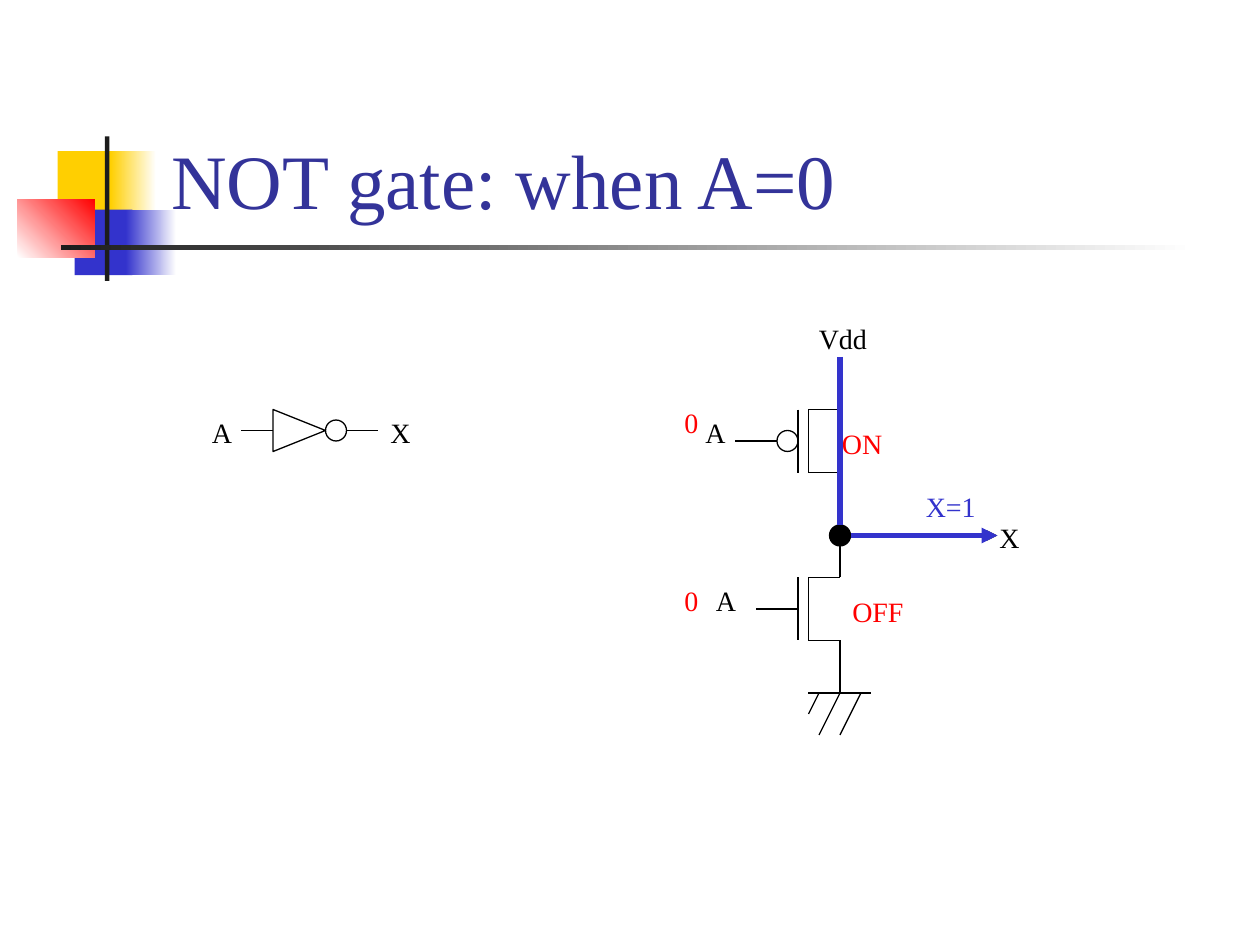
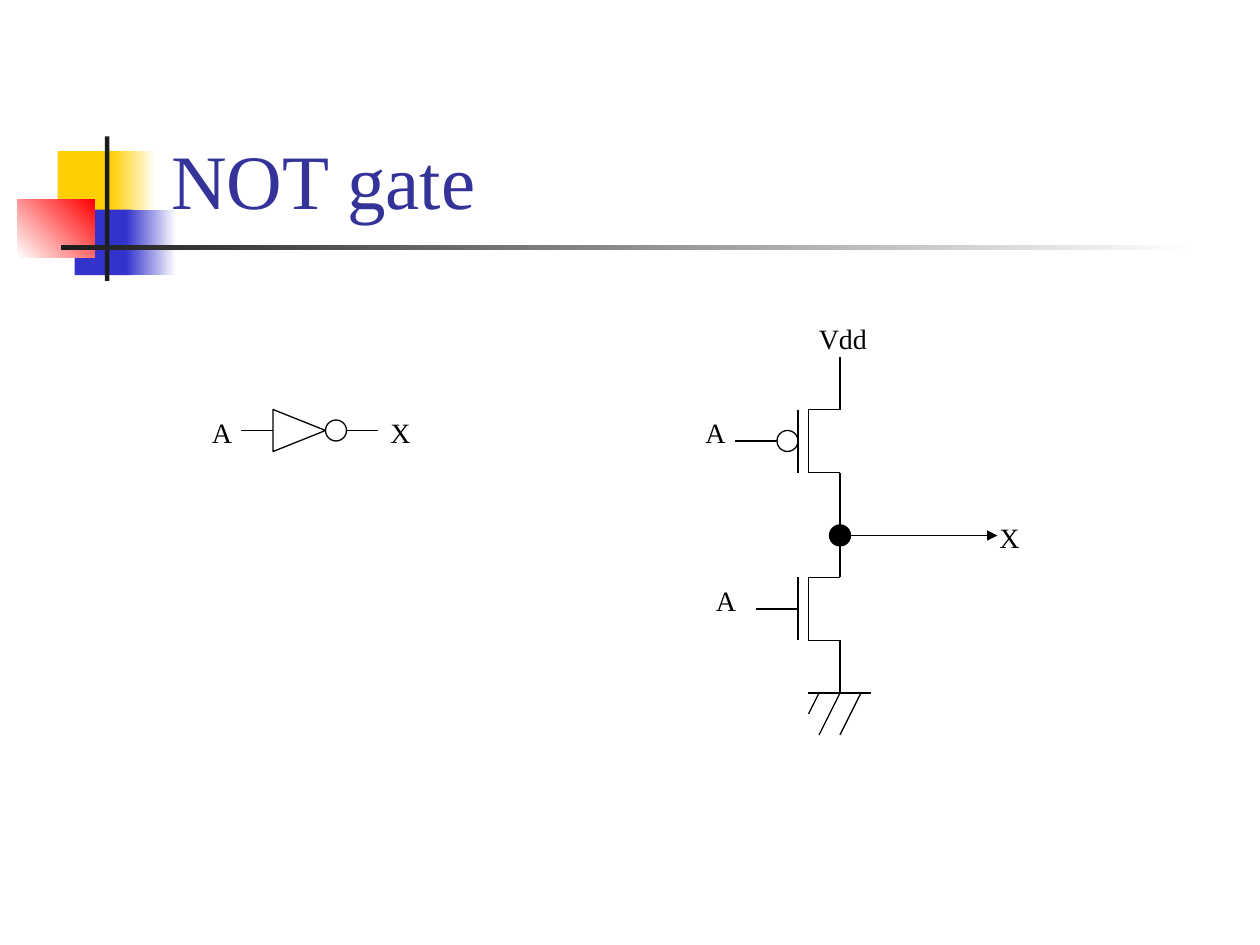
from pptx import Presentation
from pptx.dml.color import RGBColor
from pptx.enum.shapes import MSO_CONNECTOR as Link, MSO_SHAPE as Kind
from pptx.enum.text import MSO_ANCHOR as Anchor, MSO_AUTO_SIZE as Auto
from pptx.oxml.ns import qn
from pptx.util import Pt
from lxml.etree import SubElement

BLACK = RGBColor(0, 0, 0)
WHITE = RGBColor(255, 255, 255)
INK = RGBColor(0x1C, 0x1C, 0x1C)
GOLD = RGBColor(0xFF, 0xCF, 0x01)
BLUE = RGBColor(0x33, 0x33, 0xCC)
NAVY = RGBColor(0x33, 0x33, 0x99)
RED = RGBColor(0xFF, 0, 0)


class Deck:
    font = "Times New Roman"
    size = 16
    thin = 0.75
    dot = 12

    def __init__(self):
        self.prs = Presentation()
        self.prs.slide_width = Pt(720)
        self.prs.slide_height = Pt(540)

    def start(self, title):
        self.slide = self.prs.slides.add_slide(self.prs.slide_layouts[6])
        self.area = self.slide.shapes
        self.band()
        self.text(title, 90.7, 16.6, 613.4, 115.2, size=44, color=NAVY,
                  wrap=True, anchor=Anchor.BOTTOM)

    def group(self):
        self.area = self.slide.shapes.add_group_shape().shapes

    def leave(self):
        self.area = self.slide.shapes

    def text(self, words, x, y, wide, high=26.6, size=None, color=BLACK,
             wrap=False, anchor=Anchor.TOP):
        box = self.area.add_textbox(Pt(x), Pt(y), Pt(wide), Pt(high))
        frame = box.text_frame
        frame.word_wrap = wrap
        frame.auto_size = Auto.NONE if wrap else Auto.SHAPE_TO_FIT_TEXT
        frame.vertical_anchor = anchor
        run = frame.paragraphs[0].add_run()
        run.text = words
        run.font.name = self.font
        run.font.size = Pt(size or self.size)
        run.font.color.rgb = color

    def shape(self, kind, x, y, wide, high, fill=None, fade=None, angle=0,
              line=None):
        item = self.area.add_shape(kind, Pt(x), Pt(y), Pt(wide), Pt(high))
        item.shadow.inherit = False
        if fade:
            item.fill.gradient()
            item.fill.gradient_angle = angle
            for stop, color in zip(item.fill.gradient_stops, fade):
                stop.color.rgb = color
        elif fill is not None:
            item.fill.solid()
            item.fill.fore_color.rgb = fill
        else:
            item.fill.background()
        if line is not None:
            item.line.color.rgb = line
            item.line.width = Pt(self.thin)
        else:
            item.line.fill.background()
        return item

    def ring(self, x, y, fill=None):
        half = self.dot / 2
        self.shape(Kind.OVAL, x - half, y - half, self.dot, self.dot,
                   fill=fill, line=BLACK)

    def line(self, x1, y1, x2, y2, color=BLACK, width=None, arrow=False):
        item = self.area.add_connector(Link.STRAIGHT, Pt(x1), Pt(y1), Pt(x2), Pt(y2))
        item.line.color.rgb = color
        item.line.width = Pt(width or self.thin)
        if arrow:
            SubElement(item.line._get_or_add_ln(), qn("a:tailEnd"), type="triangle")
        SubElement(item._element.spPr, qn("a:effectLst"))

    def band(self):
        for x, y, wide, high, look in (
            (33, 86.4, 34.6, 37.4, {"fill": GOLD}),
            (63.2, 86.4, 26, 37.4, {"fade": (GOLD, WHITE)}),
            (42.7, 119.8, 33, 37.4, {"fill": BLUE}),
            (72, 119.8, 28.8, 37.4, {"fade": (BLUE, WHITE)}),
            (10, 113.8, 44.2, 33.4, {"fade": (WHITE, RED), "angle": 45}),
            (60, 78, 2.5, 82.6, {"fill": INK}),
            (34.8, 140, 648, 2.7, {"fade": (INK, WHITE)}),
        ):
            self.shape(Kind.RECTANGLE, x, y, wide, high, **look)

    def switch(self, top, high, low, lead, pmos=False):
        end = top + 36
        mid = top + 18
        for x in (456, 462):
            self.line(x, top, x, end)
        for y, far in ((top, high), (end, low)):
            self.line(462, y, 480, y)
            self.line(480, y, 480, far)
        self.line(456 - self.dot * pmos, mid, lead, mid)
        if pmos:
            self.ring(450, mid)

    def ground(self, y):
        self.line(462, y, 498, y)
        for x, run in ((468, 6), (480, 12), (492, 12)):
            self.line(x, y, x - run, y + 2 * run)

    def circuit(self):
        self.group()
        self.switch(330, 300, 396, 432)
        self.switch(234, 204, 300, 420, pmos=True)
        self.ring(480, 306, fill=BLACK)
        self.line(480, 306, 570, 306, arrow=True)
        self.text("X", 564, 294, 26)
        self.text("A", 396, 234, 26)
        self.text("A", 402, 330, 26)
        self.text("Vdd", 460.8, 180, 41.8)
        self.ground(396)
        self.leave()

    def symbol(self):
        self.group()
        self.line(138, 246, 156, 246)
        self.text("A", 114, 234, 26)
        self.text("X", 216, 234, 26)
        body = self.shape(Kind.ISOSCELES_TRIANGLE, 159, 231, 24, 30, line=BLACK)
        body.rotation = 90
        self.ring(192, 246)
        self.line(198, 246, 216, 246)
        self.leave()

    def state(self):
        for words, x, y, wide in (
            ("0", 384, 228, 22.4),
            ("0", 384, 330, 22.4),
            ("ON", 474, 240, 37.4),
            ("OFF", 480, 336, 44),
        ):
            self.text(words, x, y, wide, color=RED)
        self.line(480, 204, 480, 300, color=BLUE, width=3)
        self.line(486, 306, 570, 306, color=BLUE, width=3, arrow=True)
        self.text("X=1", 522, 276, 43.2, color=BLUE)


def main():
    deck = Deck()
    for title, live in (("NOT gate: when A=0", True), ("NOT gate", False)):
        deck.start(title)
        deck.circuit()
        deck.symbol()
        if live:
            deck.state()
    deck.prs.save("out.pptx")


if __name__ == "__main__":
    main()
